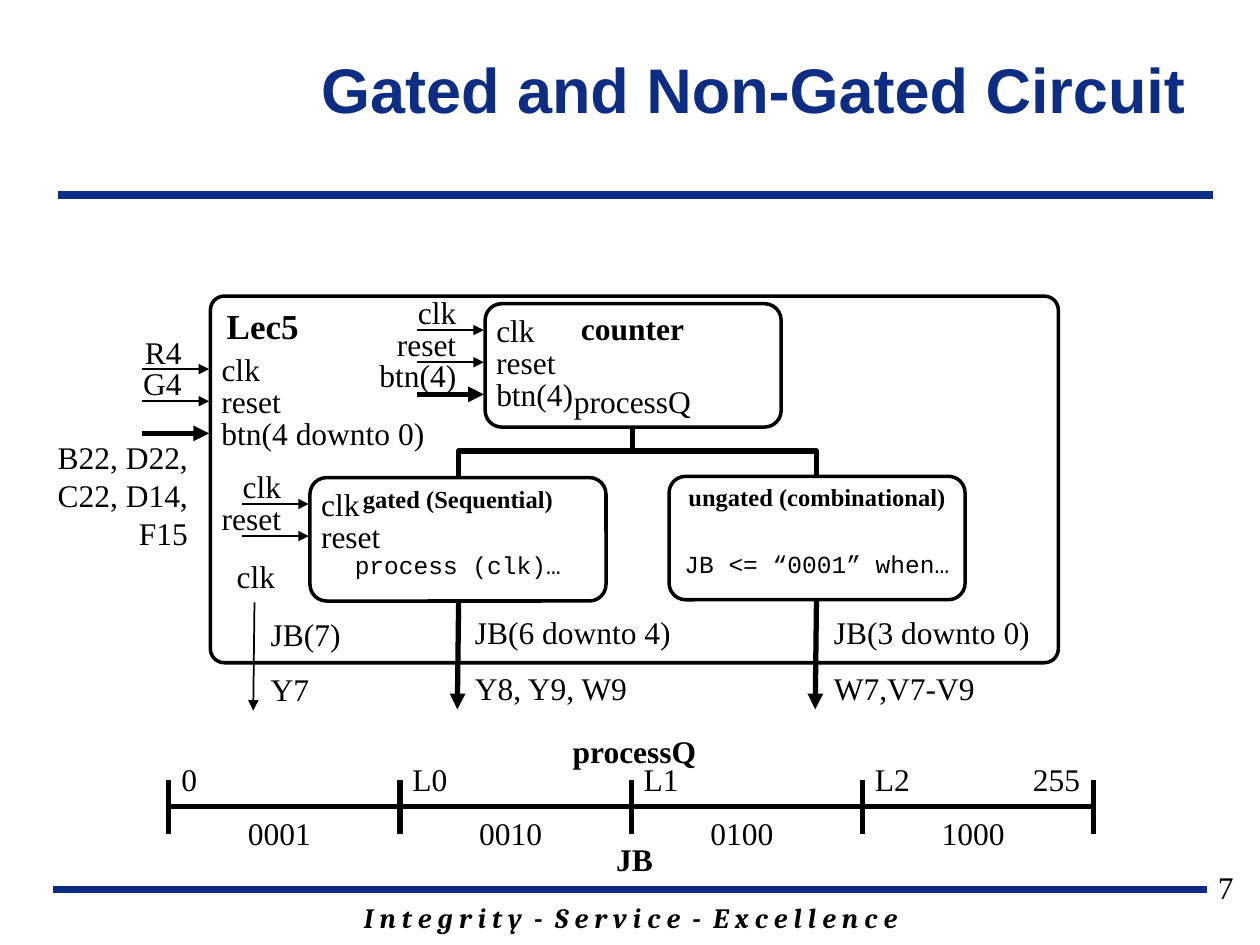
from lxml import etree
from pptx import Presentation
from pptx.dml.color import RGBColor as RGB
from pptx.enum.shapes import MSO_CONNECTOR as CONN, MSO_SHAPE as SHAPE
from pptx.enum.text import MSO_ANCHOR as ANCHOR, MSO_AUTO_SIZE as FIT, PP_ALIGN as ALIGN
from pptx.oxml.ns import qn
from pptx.util import Inches, Pt

COLORS = {"navy": "0C2D83", "black": "000000"}
SERIF, SANS, MONO, FOOT = "Times New Roman", "Arial", "Courier New", "Cambria"
BODY = {"name": SERIF, "size": Pt(18), "bold": False, "italic": False}
BOLD = {"bold": True}
HEAD = {"bold": True, "size": Pt(14)}
CODE = {"name": MONO, "size": Pt(14)}
TITLE = {"name": SANS, "size": Pt(36), "bold": True}
MOTTO = {"name": FOOT, "size": Pt(16), "bold": True, "italic": True}
LEFT, CENTER, RIGHT = ALIGN.LEFT, ALIGN.CENTER, ALIGN.RIGHT
ROW_H = 0.4


class Diagram:
    def __init__(self, prs):
        self.slide = prs.slides.add_slide(prs.slide_layouts[5])
        self.shapes = self.slide.shapes

    def style_text(self, tf, text, align, fmt, color="black"):
        p = tf.paragraphs[0]
        p.alignment = align
        r = p.add_run()
        r.text = text
        for key, value in {**BODY, **fmt}.items():
            setattr(r.font, key, value)
        r.font.color.rgb = RGB.from_string(COLORS[color])

    def title(self, text, x, y, w, h):
        sp = self.shapes.title
        box = {"left": x, "top": y, "width": w, "height": h}
        for key, value in box.items():
            setattr(sp, key, Inches(value))
        tf = sp.text_frame
        tf.auto_size = FIT.NONE
        tf.vertical_anchor = ANCHOR.MIDDLE
        self.style_text(tf, text, RIGHT, TITLE, "navy")

    def text(self, text, x, y, w, h=ROW_H, align=LEFT, fmt={}, fit=FIT.SHAPE_TO_FIT_TEXT):
        sp = self.shapes.add_textbox(Inches(x), Inches(y), Inches(w), Inches(h))
        tf = sp.text_frame
        tf.word_wrap = True
        tf.auto_size = fit
        self.style_text(tf, text, align, fmt)

    def block(self, x, y, w, h, radius):
        sp = self.shapes.add_shape(
            SHAPE.ROUNDED_RECTANGLE, Inches(x), Inches(y), Inches(w), Inches(h))
        sp.adjustments[0] = radius
        sp.shadow.inherit = False
        sp.fill.background()
        sp.line.color.rgb = RGB.from_string(COLORS["black"])
        sp.line.width = Pt(2)

    def line(self, x1, y1, x2, y2, width=3, color="black", arrow=False, kind=CONN.STRAIGHT):
        c = self.shapes.add_connector(kind, Inches(x1), Inches(y1), Inches(x2), Inches(y2))
        c.line.color.rgb = RGB.from_string(COLORS[color])
        c.line.width = Pt(width)
        sp_pr = c._element.spPr
        if arrow:
            etree.SubElement(sp_pr.get_or_add_ln(), qn("a:tailEnd"), type="triangle")
        etree.SubElement(sp_pr, qn("a:effectLst"))
        return c

    def branch(self, x1, y1, x2, y2):
        cx, cy = (x1 + x2) / 2, (y1 + y2) / 2
        side = 1 if x2 > x1 else -1
        dx, dy = side * (y2 - y1) / 2, abs(x2 - x1) / 2
        c = self.line(cx + dx, cy - dy, cx - dx, cy + dy, kind=CONN.ELBOW)
        c._element.spPr.xfrm.rot = 270 if side > 0 else 90

    def ports(self, edge, y, inner, outer):
        for i, (name, w) in enumerate(inner):
            py = y + 0.255 * i
            self.line(edge - 0.53, py, edge, py, width=3 if i == 2 else 1, arrow=True)
            self.text(name, edge, py - 0.2, w)
        for i, (name, w) in enumerate(outer):
            self.text(name, edge - 0.12 - w, y - 0.34 + 0.25 * i, w, align=RIGHT)

    def process(self, x, y, head, code, code_w):
        w = 2.35
        self.block(x, y, w, 0.98, 0.135)
        self.text(head, x, y, w, 0.34, CENTER, HEAD)
        self.text(code, x + (w - code_w) / 2, y + 0.53, code_w, 0.34, CENTER, CODE)

    def output(self, x, y, signal, pins, width, gap, w):
        self.line(x, y, x - 0.01, y + 0.86, width, arrow=True)
        self.text(signal, x + gap, y + 0.05, w)
        self.text(pins, x + gap, y + 0.49, w)


def main():
    prs = Presentation()
    prs.slide_width, prs.slide_height = Inches(10), Inches(7.5)
    d = Diagram(prs)

    d.line(0.42, 7.06, 9.58, 7.06, 4.5, "navy")
    d.line(0.46, 1.55, 9.63, 1.55, 4.5, "navy")
    d.text("I n t e g r i t y  -  S e r v i c e  -  E x c e l l e n c e",
           1.42, 7.1, 7.17, 0.37, CENTER, MOTTO)
    d.title("Gated and Non-Gated Circuit", 2.09, 0.08, 7.42, 1.25)
    d.text("7", 7.56, 6.84, 2.33, 0.52, RIGHT, fit=FIT.NONE)

    clock = [("clk", 0.58), ("reset", 0.83)]
    d.block(1.67, 2.35, 6.73, 2.91, 0.038)
    d.text("Lec5", 1.67, 2.37, 0.83, 0.44, CENTER, {"bold": True, "size": Pt(20)})
    d.ports(1.66, 2.93, clock + [("btn(4 downto 0)", 1.96)], [("R4", 0.58), ("G4", 0.83)])
    d.text("B22, D22, C22, D14, F15", 0.18, 3.43, 1.41, 1.01, RIGHT)

    d.block(3.85, 2.41, 2.35, 0.98, 0.135)
    d.text("counter", 4.49, 2.4, 1.06, align=CENTER, fmt=BOLD)
    d.ports(3.84, 2.62, clock + [("btn(4)", 0.99)], clock + [("btn(4)", 0.95)])
    d.text("processQ", 4.35, 2.98, 1.34, align=CENTER)

    d.process(2.46, 3.79, "gated (Sequential)", "process (clk)…", 2.07)
    d.ports(2.45, 4.0, clock, clock)
    d.process(5.31, 3.78, "ungated (combinational)", "JB <= “0001” when…", 2.61)
    for x in (3.64, 6.48):
        d.branch(5.02, 3.38, x, 3.78)

    d.text("clk", 1.74, 4.37, 0.58, align=CENTER)
    for x, y, signal, pins, width, gap, w in [
        (2.02, 4.78, "JB(7)", "Y7", 1, 0.03, 0.98),
        (3.64, 4.77, "JB(6 downto 4)", "Y8, Y9, W9", 3, 0.03, 2.02),
        (6.48, 4.77, "JB(3 downto 0)", "W7,V7-V9", 3, 0.04, 2.01),
    ]:
        d.output(x, y, signal, pins, width, gap, w)

    start, step = 1.34, 1.835
    d.line(start, 6.4, start + 4 * step, 6.4)
    for i in range(5):
        d.line(start + i * step, 6.62, start + i * step, 6.19)
    for i, (level, code) in enumerate(
            [("0", "0001"), ("L0", "0010"), ("L1", "0100"), ("L2", "1000")]):
        x = start + i * step
        d.text(level, x, 5.98, 0.58)
        d.text(code, x + 0.53, 6.41, 0.7)
    d.text("255", 8.09, 5.98, 0.58, align=RIGHT)
    for name, y in (("processQ", 5.76), ("JB", 6.62)):
        d.text(name, 4.34, y, 1.39, align=CENTER, fmt=BOLD)

    prs.save("out.pptx")


if __name__ == "__main__":
    main()
